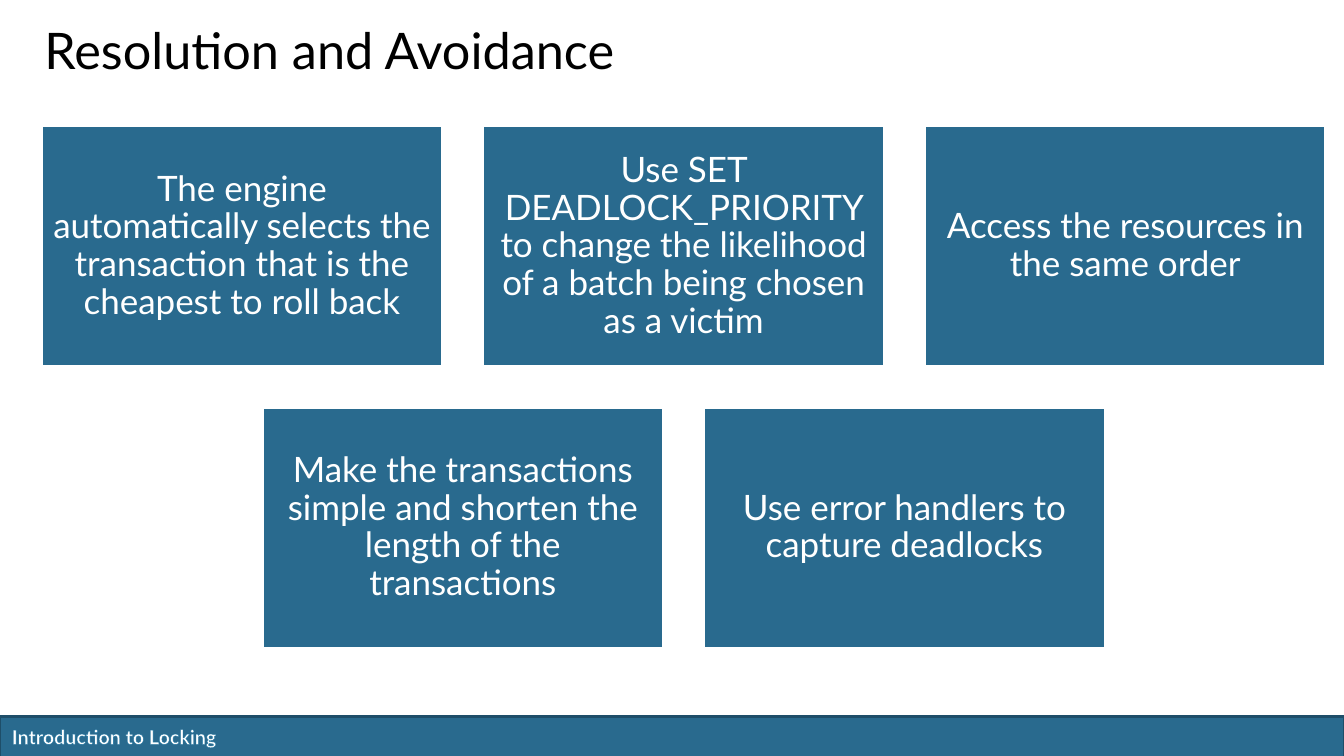
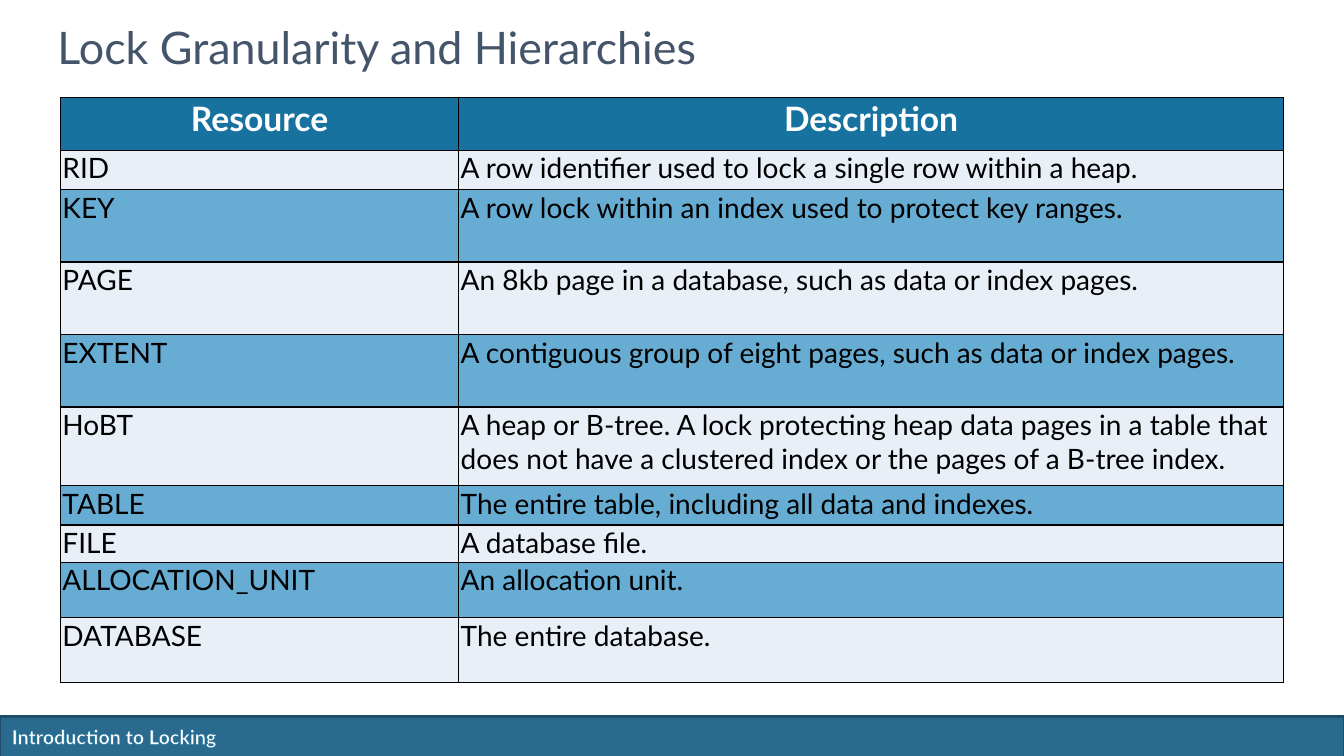
from pptx import Presentation
from pptx.dml.color import RGBColor
from pptx.enum.shapes import MSO_SHAPE
from pptx.enum.text import MSO_ANCHOR, MSO_AUTO_SIZE, PP_ALIGN
from pptx.oxml import parse_xml
from pptx.oxml.ns import nsdecls
from pptx.util import Inches, Pt

BLUE = RGBColor(0x29, 0x6A, 0x8E)
BLUE_EDGE = RGBColor(0x1E, 0x4E, 0x69)
HEADER = RGBColor(0x18, 0x72, 0xA0)
ROW_LIGHT = RGBColor(0xE8, 0xEF, 0xF7)
ROW_BLUE = RGBColor(0x67, 0xAC, 0xD3)
SLATE = RGBColor(0x44, 0x54, 0x6A)
BLACK = RGBColor(0, 0, 0)
WHITE = RGBColor(0xFF, 0xFF, 0xFF)

FONT = "Lato"
WIDTH, HEIGHT = 13.33, 7.5
BOX_W, BOX_H, GAP = 3.98, 2.39, 0.4
GRID_LEFT, GRID_TOP, GRID_COLS = 0.41, 1.25, 3

CARDS = [
    ["The engine automatically selects the transaction that is the cheapest to roll back",
     "Use SET DEADLOCK_PRIORITY to change the likelihood of a batch being chosen as a victim",
     "Access the resources in the same order"],
    ["Make the transactions simple and shorten the length of the transactions",
     "Use error handlers to capture deadlocks"],
]

# Resource, description, row height
LOCKS = [
    ("Resource", "Description", 0.52),
    ("RID", "A row identifier used to lock a single row within a heap.", 0.39),
    ("KEY", "A row lock within an index used to protect key ranges.", 0.72),
    ("PAGE", "An 8kb page in a database, such as data or index pages.", 0.72),
    ("EXTENT", "A contiguous group of eight pages, such as data or index pages.", 0.72),
    ("HoBT", "A heap or B-tree. A lock protecting heap data pages in a table that "
             "does not have a clustered index or the pages of a B-tree index.", 0.78),
    ("TABLE", "The entire table, including all data and indexes.", 0.39),
    ("FILE", "A database file.", 0.37),
    ("ALLOCATION_UNIT", "An allocation unit.", 0.55),
    ("DATABASE", "The entire database.", 0.64),
]


def line_xml(tag, color, width):
    return parse_xml(
        f'<a:{tag} {nsdecls("a")} w="{Pt(width)}"><a:solidFill>'
        f'<a:srgbClr val="{color}"/></a:solidFill></a:{tag}>')


class Deck:
    def __init__(self):
        self.prs = Presentation()
        self.prs.slide_width = Inches(WIDTH)
        self.prs.slide_height = Inches(HEIGHT)
        self.s = None

    def slide(self, title, at, size, color):
        self.s = self.prs.slides.add_slide(self.prs.slide_layouts[5])
        self.footer("Introduction to Locking")
        sp = self.s.shapes.title
        sp.left, sp.top, sp.width, sp.height = map(Inches, at)
        tf = sp.text_frame
        tf.auto_size = MSO_AUTO_SIZE.NONE
        tf.vertical_anchor = MSO_ANCHOR.TOP
        self.set_text(tf, title, size, color)
        tf.paragraphs[0].line_spacing = Pt(35)

    def set_text(self, tf, text, size, color, align=PP_ALIGN.LEFT, bold=False):
        tf.text = text
        tf.word_wrap = True
        p = tf.paragraphs[0]
        p.alignment = align
        r = p.runs[0]
        r.font.name, r.font.size, r.font.bold = FONT, Pt(size), bold
        r.font.color.rgb = color
        return r

    def rect(self, left, top, width, height, edge):
        sp = self.s.shapes.add_shape(
            MSO_SHAPE.RECTANGLE, *map(Inches, (left, top, width, height)))
        sp.shadow.inherit = False
        sp.fill.solid()
        sp.fill.fore_color.rgb = BLUE
        sp.line.color.rgb = edge
        sp.line.width = Pt(2)
        return sp

    def footer(self, text):
        self.rect(0, 7.11, WIDTH, 0.4, BLUE_EDGE)
        box = self.s.shapes.add_textbox(*map(Inches, (0.02, 7.14, 6.06, 0.34)))
        r = self.set_text(box.text_frame, text, 14, WHITE, bold=True)
        r._r.get_or_add_rPr().insert(0, line_xml("ln", HEADER, 0.8))

    def cards(self, rows):
        """Lay out rows of boxes, centring each row on the full grid."""
        for i, row in enumerate(rows):
            indent = (GRID_COLS - len(row)) / 2
            for j, text in enumerate(row):
                sp = self.rect(GRID_LEFT + (indent + j) * (BOX_W + GAP),
                               GRID_TOP + i * (BOX_H + GAP), BOX_W, BOX_H, WHITE)
                tf = sp.text_frame
                tf.margin_left = tf.margin_right = Inches(0.1)
                tf.margin_top = tf.margin_bottom = Inches(0.1)
                tf.vertical_anchor = MSO_ANCHOR.MIDDLE
                self.set_text(tf, text, 25, WHITE, PP_ALIGN.CENTER)
                tf.paragraphs[0].line_spacing = 0.9

    def table(self, left, top, widths, rows):
        height = sum(row[-1] for row in rows)
        tbl = self.s.shapes.add_table(
            len(rows), len(widths),
            *map(Inches, (left, top, sum(widths), height))).table
        for col, width in zip(tbl.columns, widths):
            col.width = Inches(width)
        for i, (*texts, row_height) in enumerate(rows):
            tbl.rows[i].height = Inches(row_height)
            for j, text in enumerate(texts):
                self.cell(tbl.cell(i, j), text, i)

    def cell(self, cell, text, row):
        cell.margin_left = cell.margin_right = Inches(0.02)
        cell.margin_top = cell.margin_bottom = Inches(0.01)
        cell.fill.solid()
        if row == 0:
            cell.fill.fore_color.rgb = HEADER
            self.set_text(cell.text_frame, text, 24, WHITE, PP_ALIGN.CENTER, True)
        else:
            cell.fill.fore_color.rgb = ROW_LIGHT if row % 2 else ROW_BLUE
            self.set_text(cell.text_frame, text, 20, BLACK)
        props = cell._tc.get_or_add_tcPr()
        for k, tag in enumerate(("lnL", "lnR", "lnT", "lnB")):
            props.insert(k, line_xml(tag, BLACK, 1))


def main():
    deck = Deck()
    deck.slide("Resolution and Avoidance", (0.34, 0.25, 12, 1.25), 36, BLACK)
    deck.cards(CARDS)
    deck.slide("Lock Granularity and Hierarchies", (0.47, 0.19, 12.75, 0.98), 32, SLATE)
    deck.table(0.6, 0.97, (3.95, 8.18), LOCKS)
    deck.prs.save("out.pptx")


if __name__ == "__main__":
    main()
